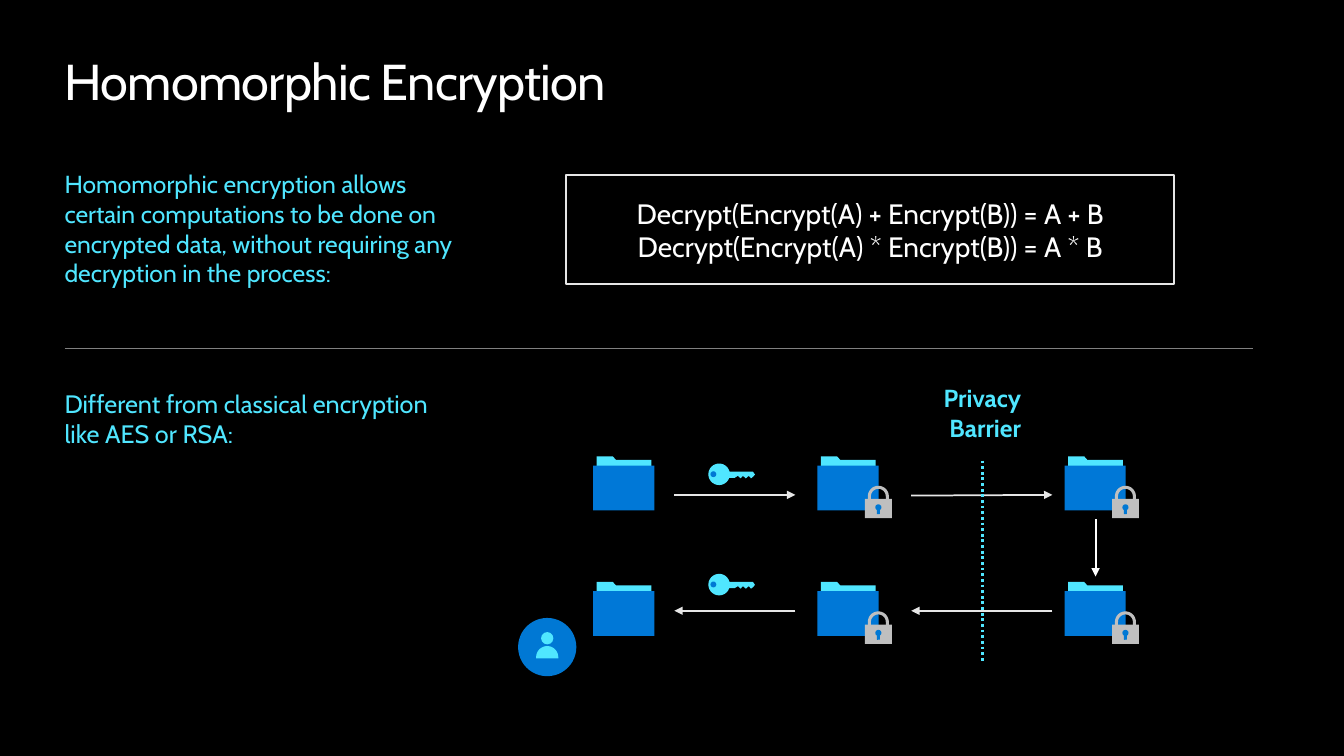
from math import cos, radians, sin

from lxml.etree import SubElement
from pptx import Presentation
from pptx.dml.color import RGBColor
from pptx.enum.dml import MSO_LINE
from pptx.enum.shapes import MSO_CONNECTOR, MSO_SHAPE
from pptx.enum.text import MSO_ANCHOR as Anchor, PP_ALIGN as Align
from pptx.oxml.ns import qn
from pptx.util import Pt

COLORS = {
    "black": "000000", "white": "FFFFFF", "pale": "E6E6E6", "gray": "808080",
    "cyan": "50E6FF", "folder": "0078D7", "blue": "0078D4", "lock": "BFBFBF",
}
FONT = "Cabin"
SIDE_INSETS = (0, 3.6, 7.2, 3.6)

TEXTS = [
    {"box": (46.1, 36, 867.6, 43.9), "color": "white", "spacing": -50,
     "paragraphs": [[("Homomorphic Encryption", 36)]], "insets": (0, 0, 0, 0)},
    {"box": (404.6, 125.3, 434.2, 77.8), "color": "white", "border": "pale",
     "paragraphs": [[("Decrypt(Encrypt(A) + Encrypt(B)) = A + B", 20)],
                    [("Decrypt(Encrypt(A) * Encrypt(B)) = A * B", 20)]],
     "insets": (36, 14.4, 36, 14.4), "align": Align.CENTER, "anchor": Anchor.MIDDLE},
    {"box": (647.3, 270, 113, 51.1), "color": "cyan", "bold": True,
     "paragraphs": [[("Privacy ", 17.6), ("\v", 17.6), ("Barrier", 17.6)]],
     "insets": (7.2, 3.6, 7.2, 3.6), "align": Align.CENTER},
    {"box": (46.1, 117.4, 294.5, 94.3), "color": "cyan", "insets": SIDE_INSETS,
     "paragraphs": [[("Homomorphic encryption allows certain computations to be done on "
                      "encrypted data, without requiring any decryption in the process:", 17.6)]]},
    {"box": (46.1, 273.6, 294.5, 51.1), "color": "cyan", "insets": SIDE_INSETS,
     "paragraphs": [[("Different from ", 18), ("classical ", 17.6),
                     ("encryption like AES or RSA:", 18)]]},
]

LINES = [
    {"ends": (751.7, 436.3, 650.9, 436.3), "color": "pale", "width": 1.25, "arrow": True},
    {"ends": (481.7, 353.5, 568.1, 353.5), "color": "pale", "width": 1.25, "arrow": True},
    {"ends": (782.6, 370.8, 782.6, 411.8), "color": "white", "width": 1.5, "arrow": True},
    {"ends": (568.1, 436.3, 481.7, 436.3), "color": "pale", "width": 1.25, "arrow": True},
    {"ends": (650.9, 354, 751.7, 353.5), "color": "pale", "width": 1.25, "arrow": True},
    {"ends": (702, 329, 702, 473.8), "color": "cyan", "width": 2, "dash": MSO_LINE.ROUND_DOT},
    {"ends": (46.1, 249.1, 895, 249.1), "color": "gray", "width": 0.75},
]

FOLDER_COLUMNS = [(423.7, False), (583.9, True), (760.4, True)]
FOLDER_ROWS = [325.9, 415.6]
KEY_CENTERS = [(513.7, 338.8), (513.7, 417.6)]
PERSON_CENTER = (390.9, 462.2)

FOLDER_TAB = [(2.5, 0), (14, 0), (16.2, 2.5), (41.6, 2.5), (41.6, 29), (2.5, 29)]
KEY_SHAFT = [(24.2, -1.9), (25.6, 0.2), (24.2, 1.8), (22.8, 2.9), (21.2, 1.1), (19.1, 2.9),
             (17, 1.1), (15.4, 2.9), (13.4, 1.1), (11.2, 2.5)]


def rgb(name):
    return RGBColor.from_string(COLORS[name])


def arc(center, radius, start, end, steps=24):
    angles = [radians(start + (end - start) * step / steps) for step in range(steps + 1)]
    return [(center[0] + radius * cos(angle), center[1] + radius * sin(angle)) for angle in angles]


def paint(shape, color):
    shape.shadow.inherit = False
    shape.fill.solid()
    shape.fill.fore_color.rgb = rgb(color)
    shape.line.fill.background()


def add_preset(shapes, kind, origin, box, color):
    left, top, width, height = box
    shape = shapes.add_shape(kind, Pt(origin[0] + left), Pt(origin[1] + top), Pt(width), Pt(height))
    paint(shape, color)


def add_outline(shapes, origin, points, color):
    corners = [(Pt(origin[0] + x), Pt(origin[1] + y)) for x, y in points]
    builder = shapes.build_freeform(*corners[0])
    builder.add_line_segments(corners[1:], close=True)
    paint(builder.convert_to_shape(), color)


def add_text(slide, item):
    box = [Pt(length) for length in item["box"]]
    if "border" in item:
        shape = slide.shapes.add_shape(MSO_SHAPE.RECTANGLE, *box)
        shape.shadow.inherit = False
        shape.fill.background()
        shape.line.color.rgb = rgb(item["border"])
        shape.line.width = Pt(1.5)
    else:
        shape = slide.shapes.add_textbox(*box)
    frame = shape.text_frame
    left, top, right, bottom = [Pt(inset) for inset in item["insets"]]
    frame_format = {"word_wrap": True, "vertical_anchor": item.get("anchor", Anchor.TOP),
                    "margin_left": left, "margin_top": top,
                    "margin_right": right, "margin_bottom": bottom}
    for name, value in frame_format.items():
        setattr(frame, name, value)
    for index, runs in enumerate(item["paragraphs"]):
        paragraph = frame.add_paragraph() if index else frame.paragraphs[0]
        paragraph.alignment = item.get("align", Align.LEFT)
        for text, size in runs:
            if text == "\v":
                paragraph.add_line_break()
                continue
            run = paragraph.add_run()
            run.text = text
            font_format = {"name": FONT, "size": Pt(size), "bold": item.get("bold", False)}
            for name, value in font_format.items():
                setattr(run.font, name, value)
            run.font.color.rgb = rgb(item["color"])
            if "spacing" in item:
                run.font._element.set("spc", str(item["spacing"]))


def add_line(slide, item):
    ends = [Pt(length) for length in item["ends"]]
    connector = slide.shapes.add_connector(MSO_CONNECTOR.STRAIGHT, *ends)
    connector.line.color.rgb = rgb(item["color"])
    connector.line.width = Pt(item["width"])
    if "dash" in item:
        connector.line.dash_style = item["dash"]
    if item.get("arrow"):
        SubElement(connector.line._get_or_add_ln(), qn("a:tailEnd"), type="triangle")
    SubElement(connector._element.spPr, qn("a:effectLst"))


def add_folder(slide, origin, locked):
    shapes = slide.shapes.add_group_shape().shapes
    add_outline(shapes, origin, FOLDER_TAB, "cyan")
    add_preset(shapes, MSO_SHAPE.RECTANGLE, origin, (0, 6.6, 43.7, 32), "folder")
    if locked:
        center = (43.5, 28.6)
        shackle = [(36, 31), *arc(center, 7.5, 180, 360), (51, 31),
                   (48.8, 31), *arc(center, 5.3, 360, 180), (38.2, 31)]
        add_outline(shapes, origin, shackle, "lock")
        add_preset(shapes, MSO_SHAPE.RECTANGLE, origin, (33.9, 30.5, 19.2, 13.8), "lock")
        add_preset(shapes, MSO_SHAPE.OVAL, origin, (41.3, 34.3, 4.4, 4.4), "blue")
        add_preset(shapes, MSO_SHAPE.ROUNDED_RECTANGLE, origin, (42.4, 36.4, 2.2, 5), "blue")


def add_key(slide, center):
    shapes = slide.shapes.add_group_shape().shapes
    add_outline(shapes, center, arc((0, 0), 7.7, 19, 346) + KEY_SHAFT, "cyan")
    add_preset(shapes, MSO_SHAPE.OVAL, center, (-6.2, -2.2, 4.2, 4.2), "blue")


def add_person(slide, center):
    shapes = slide.shapes.add_group_shape().shapes
    add_preset(shapes, MSO_SHAPE.OVAL, center, (-20.8, -20.8, 41.6, 41.6), "blue")
    add_preset(shapes, MSO_SHAPE.OVAL, center, (-4.4, -10.7, 8.8, 8.8), "cyan")
    bust = [(-7.9, 8.1), *arc((0, 7.2), 7.9, 180, 360), (7.9, 8.1)]
    add_outline(shapes, center, bust, "cyan")


def main():
    presentation = Presentation()
    presentation.slide_width = Pt(960)
    presentation.slide_height = Pt(540)
    slide = presentation.slides.add_slide(presentation.slide_layouts[6])
    slide.background.fill.solid()
    slide.background.fill.fore_color.rgb = rgb("black")
    for item in TEXTS:
        add_text(slide, item)
    for item in LINES:
        add_line(slide, item)
    for top in FOLDER_ROWS:
        for left, locked in FOLDER_COLUMNS:
            add_folder(slide, (left, top), locked)
    for center in KEY_CENTERS:
        add_key(slide, center)
    add_person(slide, PERSON_CENTER)
    presentation.save("out.pptx")


if __name__ == "__main__":
    main()
